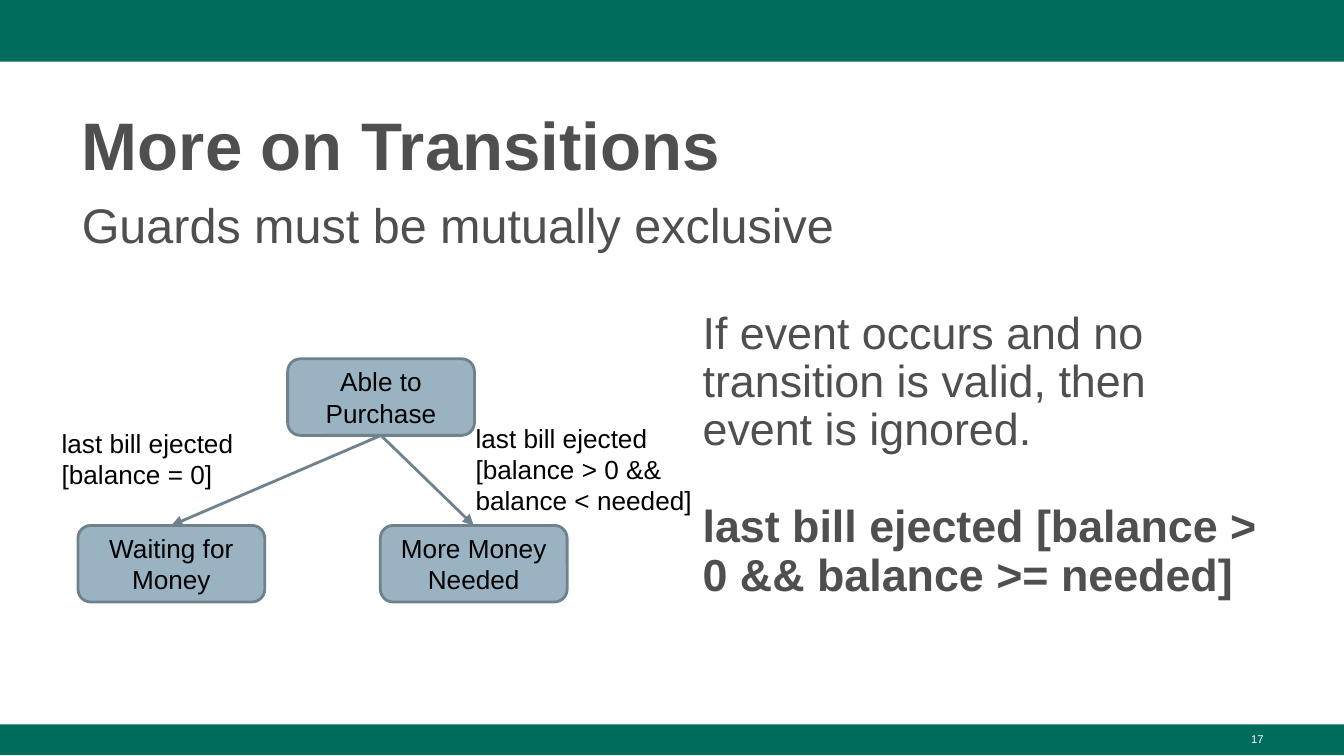
from lxml import etree
from pptx import Presentation
from pptx.dml.color import RGBColor
from pptx.enum.shapes import MSO_CONNECTOR, MSO_SHAPE
from pptx.enum.text import MSO_ANCHOR, MSO_AUTO_SIZE, PP_ALIGN
from pptx.oxml.ns import qn
from pptx.util import Inches, Pt

RECTANGLE = MSO_SHAPE.RECTANGLE
ROUNDED = MSO_SHAPE.ROUNDED_RECTANGLE
STRAIGHT = MSO_CONNECTOR.STRAIGHT
TOP, MIDDLE, BOTTOM = MSO_ANCHOR.TOP, MSO_ANCHOR.MIDDLE, MSO_ANCHOR.BOTTOM
LEFT, CENTER, RIGHT = PP_ALIGN.LEFT, PP_ALIGN.CENTER, PP_ALIGN.RIGHT
NO_AUTOFIT = MSO_AUTO_SIZE.NONE

FONT = "Arial"
TITLE_ONLY = 5
BOTTOM_SITE, TOP_SITE = 2, 0
NODE_WIDTH, NODE_HEIGHT = 1.39, 0.57
COLORS = {
    "bar": "006C5C",
    "heading": "4F4F4F",
    "node": "99B3C2",
    "line": "6F828C",
    "label": "000000",
    "number": "FFFFFF",
}


def color(name):
    return RGBColor.from_string(COLORS[name])


def write_text(box, lines, size, color_name, bold=False, align=LEFT,
               anchor=TOP, margin=0.1, spacing=None):
    frame = box.text_frame
    frame.text = "\n".join(lines)
    frame.word_wrap = True
    frame.auto_size = NO_AUTOFIT
    frame.vertical_anchor = anchor
    frame.margin_left = frame.margin_right = Inches(0.1)
    frame.margin_top = frame.margin_bottom = Inches(margin)
    for para in frame.paragraphs:
        para.alignment = align
        para.line_spacing = spacing
        para.font.name = FONT
        para.font.size = Pt(size)
        para.font.bold = bold
        para.font.color.rgb = color(color_name)
    return frame


def add_title(page, text):
    title = page.shapes.title
    title.left, title.top = Inches(0.51), Inches(0.67)
    title.width, title.height = Inches(8.99), Inches(0.73)
    write_text(title, [text], 36, "heading", bold=True, anchor=BOTTOM,
               margin=0.03, spacing=1.08)


def add_text(page, left, top, width, height, lines, size, color_name,
             **options):
    box = page.shapes.add_textbox(Inches(left), Inches(top),
                                  Inches(width), Inches(height))
    return write_text(box, lines, size, color_name, **options)


def add_bar(page, top, height):
    bar = page.shapes.add_shape(RECTANGLE, 0, Inches(top),
                                Inches(10), Inches(height))
    bar.shadow.inherit = False
    bar.fill.solid()
    bar.fill.fore_color.rgb = color("bar")
    bar.line.fill.background()


def add_node(page, left, top, text):
    node = page.shapes.add_shape(ROUNDED, Inches(left), Inches(top),
                                 Inches(NODE_WIDTH), Inches(NODE_HEIGHT))
    node.shadow.inherit = False
    node.fill.solid()
    node.fill.fore_color.rgb = color("node")
    node.line.color.rgb = color("line")
    node.line.width = Pt(1.5)
    write_text(node, [text], 14, "label", align=CENTER, anchor=MIDDLE)
    return node


def add_transition(page, source, target):
    arrow = page.shapes.add_connector(STRAIGHT, 0, 0, 0, 0)
    arrow.begin_connect(source, BOTTOM_SITE)
    arrow.end_connect(target, TOP_SITE)
    arrow.line.color.rgb = color("line")
    arrow.line.width = Pt(1.5)
    etree.SubElement(arrow.line._get_or_add_ln(), qn("a:tailEnd"),
                     type="triangle")
    etree.SubElement(arrow._element.spPr, qn("a:effectLst"))


def add_state_diagram(page):
    able = add_node(page, 2.14, 2.67, "Able to Purchase")
    branches = [
        (0.58, "Waiting for Money", 0.36, 3.08, "[balance = 0]"),
        (2.83, "More Money Needed", 3.44, 3.04,
         "[balance > 0 && balance < needed]"),
    ]
    for node_left, state, label_left, label_top, guard in branches:
        target = add_node(page, node_left, 3.91, state)
        add_transition(page, able, target)
        add_text(page, label_left, label_top, 1.95, 0.26,
                 ["last bill ejected", guard], 14, "label")


def add_explanation(page):
    lines = [
        "If event occurs and no transition is valid, then event is ignored.",
        "last bill ejected [balance > 0 && balance >= needed]",
    ]
    frame = add_text(page, 5.13, 1.75, 4.37, 3.28, lines, 24, "heading",
                     anchor=MIDDLE, spacing=0.9)
    example = frame.paragraphs[1]
    example.space_before = Pt(26)
    example.font.bold = True


def main():
    deck = Presentation()
    deck.slide_width = Inches(10)
    deck.slide_height = deck.slide_width * 9 // 16
    page = deck.slides.add_slide(deck.slide_layouts[TITLE_ONLY])
    add_bar(page, 0, 0.46)
    add_bar(page, 5.39, 0.23)
    add_title(page, "More on Transitions")
    add_text(page, 0.51, 1.4, 8.99, 3.81,
             ["Guards must be mutually exclusive"], 26, "heading",
             margin=0.05)
    add_explanation(page)
    add_state_diagram(page)
    add_text(page, 7.17, 5.4, 2.33, 0.22, ["17"], 6, "number",
             align=RIGHT, margin=0.05)
    deck.save("out.pptx")


if __name__ == "__main__":
    main()
